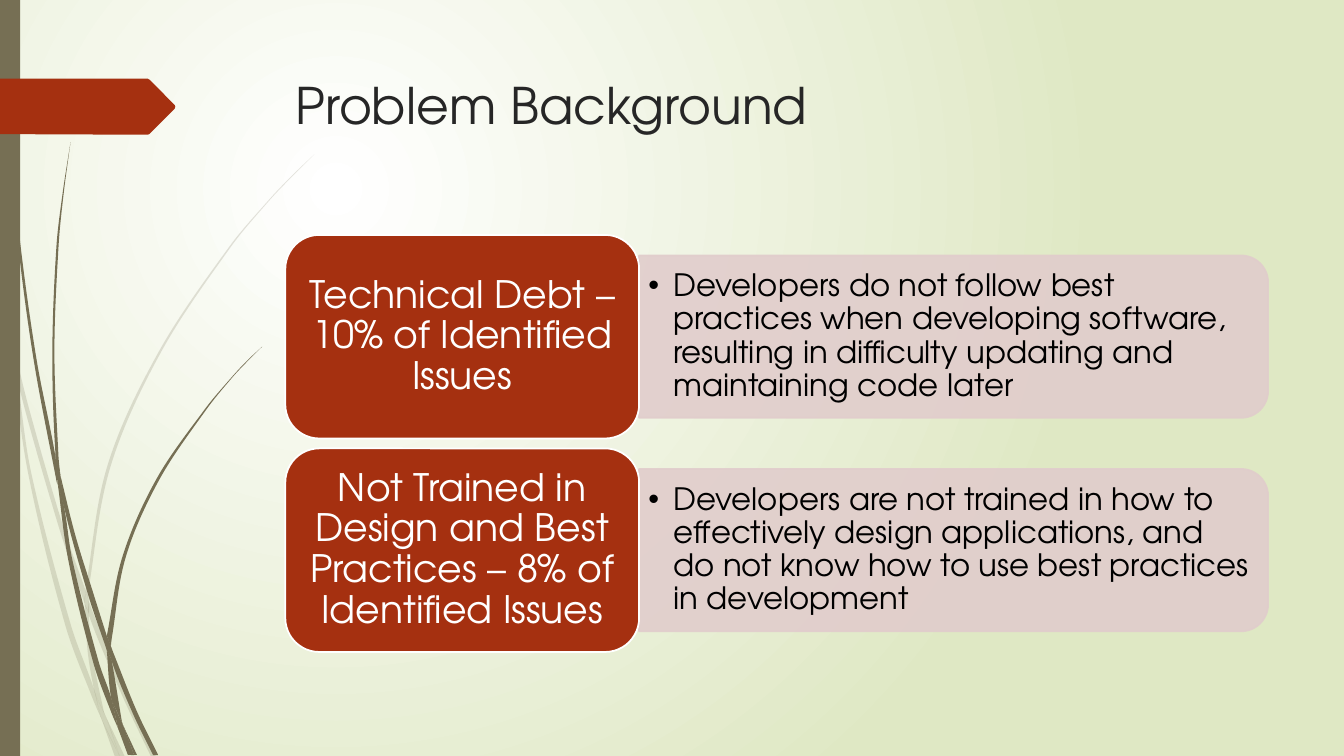
from dataclasses import dataclass

from lxml import etree
from pptx import Presentation
from pptx.dml.color import RGBColor
from pptx.enum.shapes import MSO_SHAPE
from pptx.enum.text import MSO_ANCHOR, PP_ALIGN
from pptx.oxml.ns import qn
from pptx.util import Pt

RECTANGLE = MSO_SHAPE.RECTANGLE
ROUNDED = MSO_SHAPE.ROUNDED_RECTANGLE
ROUNDED_TOP = MSO_SHAPE.ROUND_2_SAME_RECTANGLE
TOP, MIDDLE = MSO_ANCHOR.TOP, MSO_ANCHOR.MIDDLE
LEFT, CENTER = PP_ALIGN.LEFT, PP_ALIGN.CENTER


@dataclass(frozen=True)
class Theme:
    font: str = "TeX Gyre Adventor"
    bullet_font: str = "Arial"
    white: str = "FFFFFF"
    meadow: str = "DFE8C4"
    grass: str = "766F54"
    rust: str = "A53010"
    rose: str = "E1CDCC"
    ink: str = "262626"
    black: str = "000000"
    title_size: float = 36
    label_size: float = 27
    detail_size: float = 22
    outline: float = 1.25


@dataclass(frozen=True)
class Box:
    left: float
    top: float
    width: float
    height: float

    def lengths(self):
        return Pt(self.left), Pt(self.top), Pt(self.width), Pt(self.height)


@dataclass(frozen=True)
class Issue:
    label: str
    detail: str


@dataclass(frozen=True)
class Leaf:
    tip: tuple
    left: tuple
    right: tuple


THEME = Theme()
SLIDE_WIDTH, SLIDE_HEIGHT = 960, 540
LABEL = Box(203.8, 167.8, 252.7, 145.4)
LABEL_PADDING = 7.1
PANEL_LENGTH, PANEL_DEPTH = 449.3, 116
DETAIL_WIDTH, DETAIL_HEIGHT = 443.5, 105
ROW_PITCH = 152.5

ISSUES = [
    Issue("Technical Debt – 10% of Identified Issues",
          "Developers do not follow best practices when developing software, "
          "resulting in difficulty updating and maintaining code later"),
    Issue("Not Trained in Design and Best Practices – 8% of Identified Issues",
          "Developers are not trained in how to effectively design applications, "
          "and do not know how to use best practices in development"),
]

FAINT_LEAVES = [
    Leaf((0, 203), ((0, 215.3), (7.2, 247.7), (7.9, 252)), ((6.5, 231.8), (7.9, 252))),
    Leaf((10.1, 248.4), ((12.2, 270.7), (41.8, 375.8), (60.5, 431.3)),
         ((20.5, 290.9), (44.6, 374.4), (61.2, 422))),
    Leaf((63.4, 429.1), ((63.4, 439.2), (88.6, 499.7), (108, 540.7)),
         ((66.2, 437), (91.4, 498.2), (111.6, 540.7))),
    Leaf((75.6, 511.9), ((85.7, 540.7),), ((89.3, 540.7),)),
    Leaf((7.9, 252), ((20.2, 338.4), (46.8, 447.1), (66.2, 499), (72.7, 514.1)),
         ((12.2, 270.7), (22.3, 337.7), (50.4, 445.7), (67, 491.8), (71.3, 509), (72.7, 514.1))),
    Leaf((60.5, 431.3), ((62.6, 465.1), (67, 491.8), (69.1, 498.2), (75.6, 511.9)),
         ((63.4, 437.8), (63.4, 439.2), (65.5, 465.1), (74.2, 508.3), (75.6, 511.9))),
    Leaf((224.6, 110.2), ((208.1, 126), (193, 141.8), (164.2, 175.7), (113.8, 250.6),
                          (77, 331.9), (61.2, 420.5), (61.2, 421.9)),
         ((208.8, 126), (193, 142.6), (164.9, 176.4), (115.2, 251.3), (79.2, 332.6),
          (63.4, 420.5), (63.4, 429.1))),
    Leaf((72.7, 514.1), ((82.1, 540.7),), ((85.7, 540.7),)),
    Leaf((61.2, 421.9), ((60.5, 431.3), (63.4, 437.8), (63.4, 439.2)),
         ((63.4, 429.1), (63.4, 439.2))),
    Leaf((67, 491.8), ((71.3, 509), (72.7, 514.1), (85.7, 540.7)),
         ((69.1, 498.2), (75.6, 511.9), (85.7, 540.7))),
]

DARK_LEAVES = [
    Leaf((2.2, 0), ((2.9, 34.6), (5, 79.2), (12.2, 167.8), (23.8, 255.6), (40.3, 343.4),
                    (41, 346.3)),
         ((3.6, 34.6), (5.8, 78.5), (13.7, 167), (25.9, 255.6), (39.6, 326.2), (41, 346.3))),
    Leaf((43.2, 339.8), ((46.1, 363.6), (63.4, 426.2), (76.3, 464.4)),
         ((54, 383), (67, 424.8), (76.3, 454.3))),
    Leaf((79.2, 461.5), ((79.9, 472.3), (95, 509.8), (109.4, 539.3)),
         ((81.4, 467.3), (97.9, 508.3), (113, 539.3))),
    Leaf((41, 343.4), ((49, 401), (67, 474.5), (79.9, 509.8), (84.2, 519.8)),
         ((46.1, 363.6), (51.8, 400.3), (70.6, 473), (79.2, 497.5), (83.5, 516.2), (84.2, 519.8))),
    Leaf((50.4, 101.5), ((44.6, 139), (40.3, 176.4), (37.4, 251.3), (39.6, 323.3), (43.2, 339.8)),
         ((45.4, 139), (41.8, 176.4), (38.9, 251.3), (41.8, 326.2), (43.2, 339.8))),
    Leaf((87.8, 517.7), ((95.8, 539.3),), ((97.9, 539.3),)),
    Leaf((39.6, 323.3), ((39.6, 326.2), (41, 343.4), (46.1, 363.6)),
         ((43.2, 339.8), (46.1, 363.6))),
    Leaf((187.2, 247.7), ((176.4, 257.8), (166.3, 268.6), (146.9, 291.6), (112.3, 341.3),
                          (87.8, 396.7), (76.3, 454.3)),
         ((176.4, 258.5), (166.3, 269.3), (147.6, 292.3), (113.8, 342.7), (90, 397.4),
          (79.9, 455.8), (79.2, 461.5))),
    Leaf((84.2, 519.8), ((91.4, 539.3),), ((94.3, 539.3),)),
    Leaf((76.3, 464.4), ((79.2, 497.5), (83.5, 508.3), (87.8, 517.7)),
         ((78.5, 468.7), (79.9, 472.3), (87.1, 515.5), (87.8, 517.7))),
    Leaf((76.3, 454.3), ((76.3, 464.4), (78.5, 468.7), (79.9, 472.3)),
         ((79.2, 461.5), (79.9, 472.3))),
    Leaf((79.2, 497.5), ((83.5, 516.2), (84.2, 519.8), (93.6, 539.3)),
         ((83.5, 508.3), (87.8, 517.7), (95.8, 539.3))),
]


def paint(shape, fill: str, line: str = "", opacity: int = 100) -> None:
    shape.shadow.inherit = False
    shape.fill.solid()
    shape.fill.fore_color.rgb = RGBColor.from_string(fill)
    if line:
        shape.line.color.rgb = RGBColor.from_string(line)
        shape.line.width = Pt(THEME.outline)
    else:
        shape.line.fill.background()
    if opacity < 100:
        for color in shape.element.spPr.iter(qn("a:srgbClr")):
            etree.SubElement(color, qn("a:alpha"), val=str(opacity * 1000))


def add_text(slide, box: Box, text: str, *, size: float, color: str, align=LEFT, anchor=MIDDLE,
             margins=(7.2, 3.6), spacing: float = 0.9, bullet: bool = False) -> None:
    frame = slide.shapes.add_textbox(*box.lengths()).text_frame
    frame.word_wrap = True
    frame.vertical_anchor = anchor
    frame.margin_left = frame.margin_right = Pt(margins[0])
    frame.margin_top = frame.margin_bottom = Pt(margins[1])
    paragraph = frame.paragraphs[0]
    paragraph.text = text
    paragraph.alignment = align
    paragraph.line_spacing = spacing
    if bullet:
        properties = paragraph._p.get_or_add_pPr()
        properties.set("marL", str(Pt(18)))
        properties.set("indent", str(Pt(-18)))
        etree.SubElement(properties, qn("a:buFont"), typeface=THEME.bullet_font)
        etree.SubElement(properties, qn("a:buChar"), char="•")
    font = paragraph.runs[0].font
    font.name = THEME.font
    font.size = Pt(size)
    font.color.rgb = RGBColor.from_string(color)


def edge_curves(points: list) -> list:
    slopes = []
    for index in range(len(points)):
        before, after = points[max(index - 1, 0)], points[min(index + 1, len(points) - 1)]
        slopes.append((after[0] - before[0]) / (after[1] - before[1]))
    curves = []
    for (x0, y0), (x1, y1), slope0, slope1 in zip(points, points[1:], slopes, slopes[1:]):
        third = (y1 - y0) / 3
        curves.append(((x0 + slope0 * third, y0 + third), (x1 - slope1 * third, y1 - third), (x1, y1)))
    return curves


def add_outline(slide, points: list, fill: str, opacity: int = 100):
    start, *rest = [(Pt(x), Pt(y)) for x, y in points]
    builder = slide.shapes.build_freeform(*start)
    builder.add_line_segments(rest, close=True)
    shape = builder.convert_to_shape()
    paint(shape, fill, opacity=opacity)
    return shape


def add_leaf(slide, leaf: Leaf, opacity: int) -> None:
    left, right = [leaf.tip, *leaf.left], [leaf.tip, *leaf.right]
    segments = edge_curves(left)
    if left[-1] != right[-1]:
        segments.append((right[-1],))
    segments += edge_curves(right[::-1])
    shape = add_outline(slide, [leaf.tip] + [segment[-1] for segment in segments],
                        THEME.grass, opacity)
    lines = list(shape.element.iter(qn("a:lnTo")))
    for line, segment in zip(lines, segments):
        if len(segment) == 3:
            curve = etree.Element(qn("a:cubicBezTo"))
            for x, y in segment:
                etree.SubElement(curve, qn("a:pt"), x=str(Pt(x) - shape.left), y=str(Pt(y) - shape.top))
            line.getparent().replace(line, curve)


def add_issue(slide, issue: Issue, row: int) -> None:
    top = LABEL.top + row * ROW_PITCH
    middle, seam = top + LABEL.height / 2, LABEL.left + LABEL.width
    panel_box = Box(seam + (PANEL_LENGTH - PANEL_DEPTH) / 2, middle - PANEL_LENGTH / 2,
                    PANEL_DEPTH, PANEL_LENGTH)
    panel = slide.shapes.add_shape(ROUNDED_TOP, *panel_box.lengths())
    panel.rotation = 90
    paint(panel, THEME.rose, THEME.rose, opacity=90)
    add_text(slide, Box(seam, middle - DETAIL_HEIGHT / 2, DETAIL_WIDTH, DETAIL_HEIGHT),
             issue.detail, size=THEME.detail_size, color=THEME.black,
             margins=(6.6, 3.3), bullet=True)
    label = slide.shapes.add_shape(ROUNDED, *Box(LABEL.left, top, LABEL.width, LABEL.height).lengths())
    paint(label, THEME.rust, THEME.white)
    text_box = Box(LABEL.left + LABEL_PADDING, top + LABEL_PADDING,
                   LABEL.width - 2 * LABEL_PADDING, LABEL.height - 2 * LABEL_PADDING)
    add_text(slide, text_box, issue.label, size=THEME.label_size, color=THEME.white,
             align=CENTER, margins=(8.1, 4.1))


def set_background(slide) -> None:
    fill = slide.background.fill
    fill.gradient()
    for stop, color, position in zip(fill.gradient_stops, (THEME.white, THEME.meadow), (0, 1)):
        stop.color.rgb = RGBColor.from_string(color)
        stop.position = position
    gradient = next(slide.element.iter(qn("a:gradFill")))
    radial = etree.Element(qn("a:path"), path="circle")
    etree.SubElement(radial, qn("a:fillToRect"), l="50000", t="50000", r="100000", b="100000")
    gradient.replace(gradient.find(qn("a:lin")), radial)


def main() -> None:
    presentation = Presentation()
    presentation.slide_width, presentation.slide_height = Pt(SLIDE_WIDTH), Pt(SLIDE_HEIGHT)
    slide = presentation.slides.add_slide(presentation.slide_layouts[6])
    set_background(slide)
    for leaves, opacity in ((FAINT_LEAVES, 20), (DARK_LEAVES, 100)):
        for leaf in leaves:
            add_leaf(slide, leaf, opacity)
    band = slide.shapes.add_shape(RECTANGLE, *Box(0, 0, 14.4, SLIDE_HEIGHT).lengths())
    paint(band, THEME.grass)
    arrow = [(124.8, 77.6), (106.8, 95.7), (105.5, 96.2), (97.9, 96.2), (0, 95.8),
             (0, 56.2), (105.5, 56.2), (106.8, 56.9), (124.8, 75), (125.2, 76.3)]
    add_outline(slide, arrow, THEME.rust)
    add_text(slide, Box(204, 49.5, 702, 100.8), "Problem Background", size=THEME.title_size,
             color=THEME.ink, anchor=TOP, spacing=1.0)
    for row, issue in enumerate(ISSUES):
        add_issue(slide, issue, row)
    presentation.save("out.pptx")


if __name__ == "__main__":
    main()
